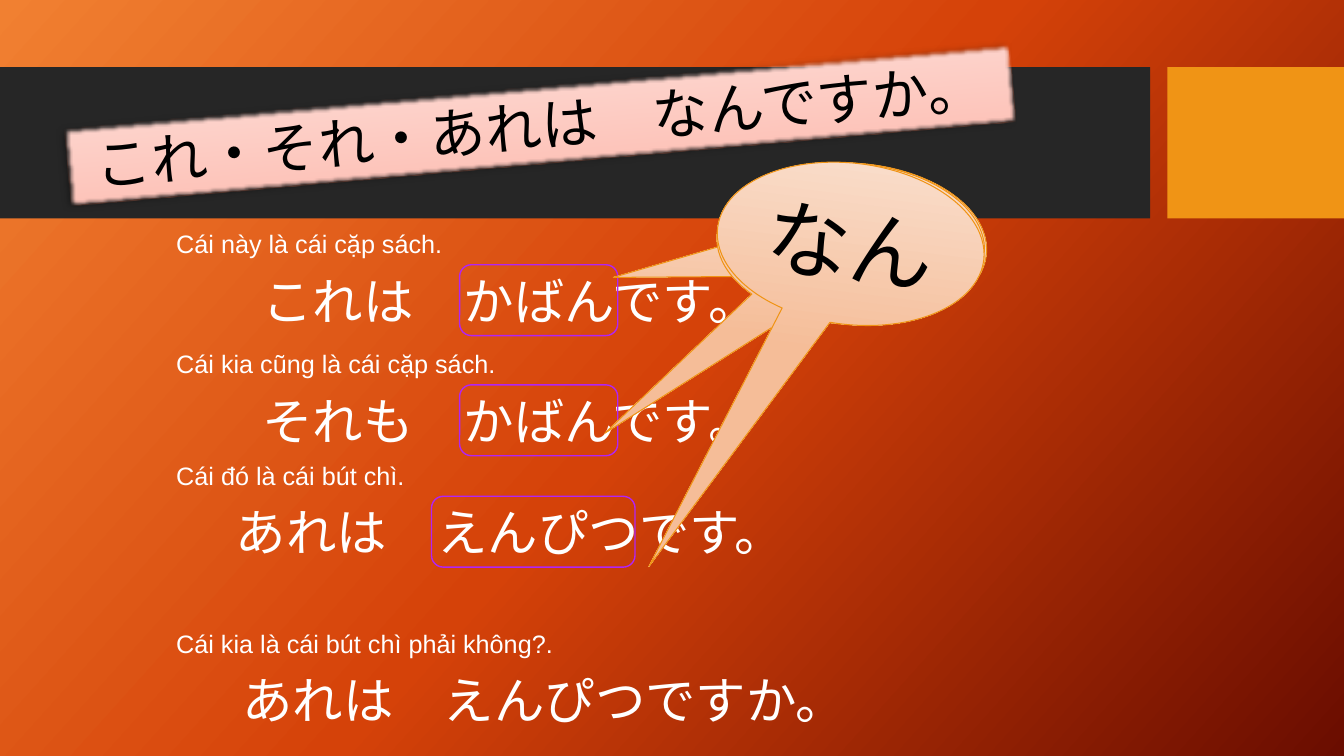
from dataclasses import dataclass
from typing import Optional

from lxml import etree
from pptx import Presentation
from pptx.dml.color import RGBColor
from pptx.enum.lang import MSO_LANGUAGE_ID as Lang
from pptx.enum.shapes import MSO_SHAPE as Shape
from pptx.enum.text import MSO_ANCHOR as Anchor, MSO_AUTO_SIZE as AutoSize, PP_ALIGN as Align
from pptx.oxml.ns import qn
from pptx.util import Pt

COLORS = {
    "bar": "262626", "accent": "F09415", "white": "FFFFFF", "black": "000000",
    "answer": "B124F5", "banner_line": "FA7E5C",
}
BACKGROUND = [(0, "F18031"), (50, "D54209"), (100, "6A0D00")]
CALLOUT_FILL = [(0, "FAE1D1"), (100, "F5BD98")]
BANNER_FILL = [(0, "FEE4DF"), (100, "FCB2A5")]
SENTENCE_OFFSET = 29.3
SENTENCE_HEIGHT = 50.6


@dataclass
class Phrase:
    top: float
    meaning: str
    sentence: str
    meaning_width: float = 246.2
    sentence_width: float = 527.8
    answer: Optional[tuple[float, float]] = None  # left and width of the frame


@dataclass
class Callout:
    left: float
    rotation: float
    tip: tuple[float, float]
    text: str = ""


PHRASES = [
    Phrase(159.8, "Cái này là cái cặp sách.", "これは　かばんです。", answer=(328.3, 113)),
    Phrase(245.6, "Cái kia cũng là cái cặp sách.", "それも　かばんです。", answer=(328.3, 113)),
    Phrase(325.2, "Cái đó là cái bút chì.", "あれは　えんぴつです。", answer=(308.2, 145.4)),
    Phrase(445.2, "Cái kia là cái bút chì phải không?.", "あれは　えんぴつですか。", 345.6, 576),
]
CALLOUTS = [
    Callout(513.4, 3.8, (-0.883, 0.306)),
    Callout(511.9, 3.8, (-0.868, 1.272)),
    Callout(511.9, 7, (-0.601, 2.14), "なん"),
]


def rgb(name: str) -> RGBColor:
    return RGBColor.from_string(COLORS[name])


def fill_gradient(fill, element, stops: list, angle: float) -> None:
    """Fill with any number of stops; the angle runs clockwise."""
    fill.gradient()
    fill.gradient_angle = 360 - angle
    stop_list = element.find(".//" + qn("a:gsLst"))
    for old_stop in list(stop_list):
        stop_list.remove(old_stop)
    for percent, color in stops:
        stop = etree.SubElement(stop_list, qn("a:gs"), pos=str(percent * 1000))
        etree.SubElement(stop, qn("a:srgbClr"), val=color)


def write(holder, text: str, *, size: float, font: str = "Roboto", color: str = "white",
          align=Align.CENTER, anchor=Anchor.TOP, wrap: bool = True) -> None:
    frame = holder.text_frame
    frame.auto_size = AutoSize.NONE
    frame.word_wrap = wrap
    frame.vertical_anchor = anchor
    paragraph = frame.paragraphs[0]
    paragraph.alignment = align
    run = paragraph.add_run()
    run.text = text
    run.font.size = Pt(size)
    run.font.name = font
    run.font.color.rgb = rgb(color)
    if font == "Roboto":
        run.font.language_id = Lang.JAPANESE
        latin = run.font._element.find(qn("a:latin"))
        latin.addnext(etree.Element(qn("a:ea"), typeface=font))


def add_box(shapes, kind, left: float, top: float, width: float, height: float, *,
            fill: str = "", line: str = "", line_width: float = 1):
    box = shapes.add_shape(kind, Pt(left), Pt(top), Pt(width), Pt(height))
    box.shadow.inherit = False
    if fill:
        box.fill.solid()
        box.fill.fore_color.rgb = rgb(fill)
    else:
        box.fill.background()
    if line:
        box.line.color.rgb = rgb(line)
        box.line.width = Pt(line_width)
    else:
        box.line.fill.background()
    return box


def add_phrase(shapes, phrase: Phrase) -> None:
    sentence_top = phrase.top + SENTENCE_OFFSET
    meaning = shapes.add_textbox(Pt(118.8), Pt(phrase.top), Pt(phrase.meaning_width), Pt(29.3))
    write(meaning, phrase.meaning, size=18, font="Arial", align=Align.LEFT)
    sentence = shapes.add_textbox(Pt(100.8), Pt(sentence_top), Pt(phrase.sentence_width),
                                  Pt(SENTENCE_HEIGHT))
    write(sentence, phrase.sentence, size=36)
    if phrase.answer:
        left, width = phrase.answer
        add_box(shapes, Shape.ROUNDED_RECTANGLE, left, sentence_top, width, SENTENCE_HEIGHT,
                line="answer")


def add_callout(shapes, callout: Callout) -> None:
    bubble = add_box(shapes, Shape.OVAL_CALLOUT, callout.left, 116.6, 191.5, 115.2,
                     line="accent", line_width=0.75)
    fill_gradient(bubble.fill, bubble.element, CALLOUT_FILL, 90)
    bubble.rotation = callout.rotation
    bubble.adjustments[0], bubble.adjustments[1] = callout.tip
    if callout.text:
        write(bubble, callout.text, size=60, color="black", anchor=Anchor.MIDDLE, wrap=False)


def format_banner(banner) -> None:
    banner.left, banner.top, banner.width, banner.height = Pt(46.8), Pt(61.2), Pt(676.8), Pt(55.4)
    banner.rotation = 354.9
    fill_gradient(banner.fill, banner.element, BANNER_FILL, 90)
    banner.line.color.rgb = rgb("banner_line")
    banner.line.width = Pt(0.75)
    write(banner, "これ・それ・あれは　なんですか。", size=40, color="black", anchor=Anchor.MIDDLE)
    # Shadow and soft edge
    effects = etree.SubElement(banner.element.spPr, qn("a:effectLst"))
    shadow = etree.SubElement(effects, qn("a:outerShdw"), blurRad=str(Pt(4)), dist=str(Pt(3)),
                              dir="10800000", rotWithShape="0")
    color = etree.SubElement(shadow, qn("a:srgbClr"), val=COLORS["black"])
    etree.SubElement(color, qn("a:alpha"), val="40000")
    etree.SubElement(effects, qn("a:softEdge"), rad=str(Pt(2.5)))


def main() -> None:
    deck = Presentation()
    deck.slide_width, deck.slide_height = Pt(960), Pt(540)
    slide = deck.slides.add_slide(deck.slide_layouts[5])
    shapes = slide.shapes
    fill_gradient(slide.background.fill, slide.element, BACKGROUND, 42)

    # Header strips
    add_box(shapes, Shape.RECTANGLE, 0, 48, 821.5, 108, fill="bar")
    add_box(shapes, Shape.RECTANGLE, 833.8, 48, 126.2, 108, fill="accent")

    # Sentences with their meanings
    for phrase in PHRASES:
        add_phrase(shapes, phrase)

    # Question word pointing at the three answers
    question = shapes.add_group_shape()
    for callout in CALLOUTS:
        add_callout(question.shapes, callout)

    # Tilted title, in front of the strips
    banner = shapes.title
    format_banner(banner)
    banner.element.getparent().append(banner.element)

    deck.save("out.pptx")


if __name__ == "__main__":
    main()
